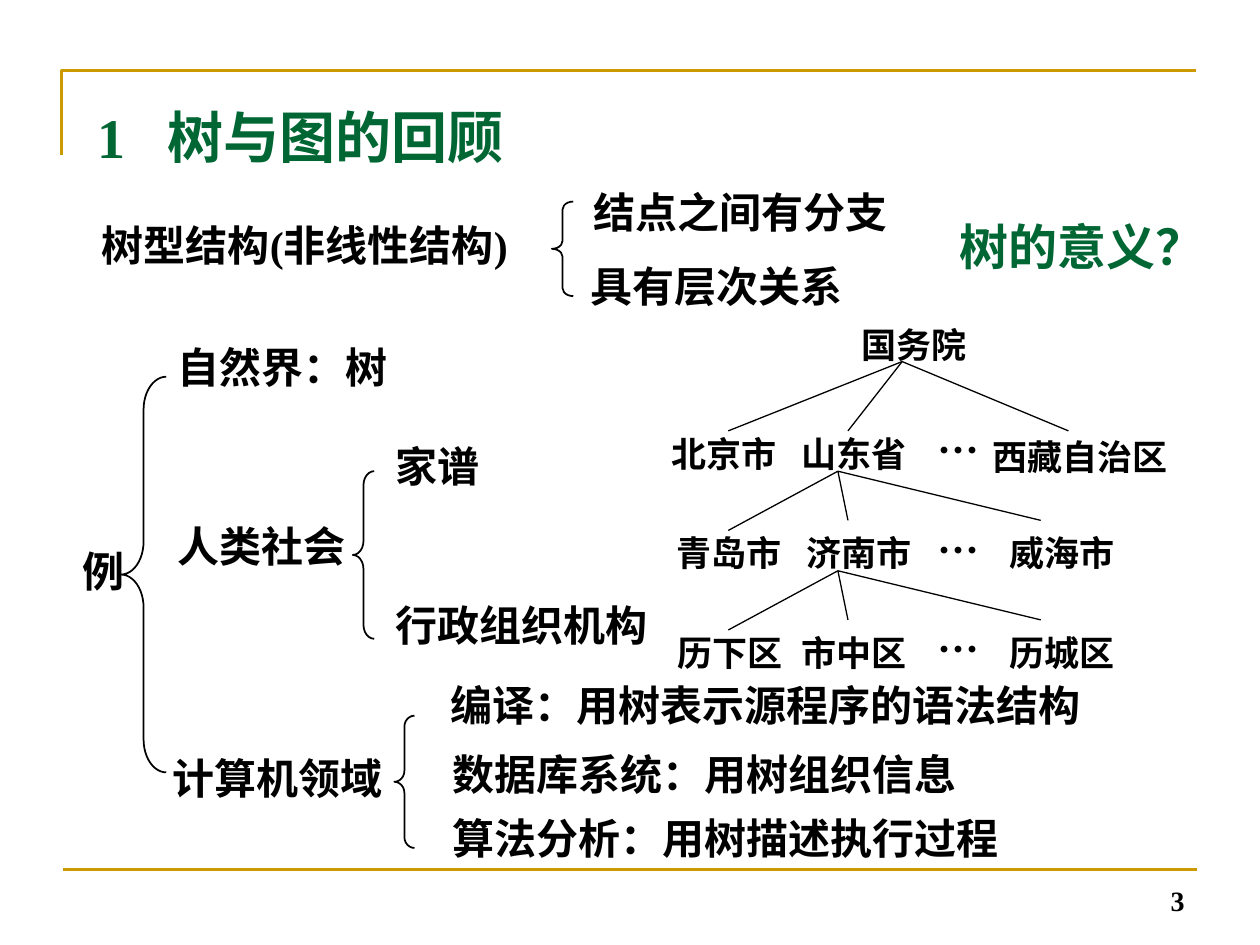
from dataclasses import dataclass

from lxml.etree import SubElement
from pptx import Presentation
from pptx.dml.color import RGBColor
from pptx.enum.shapes import MSO_CONNECTOR, MSO_SHAPE
from pptx.enum.text import MSO_ANCHOR as Anchor, MSO_AUTO_SIZE, PP_ALIGN as Align
from pptx.oxml.ns import qn
from pptx.util import Inches, Pt

COLORS = {"gold": "CC9900", "green": "006633", "black": "000000"}
CJK, LATIN = "Noto Sans CJK SC", "Times New Roman"
COLS, ROWS = 100, 75

prs = Presentation()
prs.slide_width, prs.slide_height = Inches(10), Inches(7.5)
s = prs.slides.add_slide(prs.slide_layouts[5])


@dataclass
class Label:
    """A line of text; position and size in grid columns and rows."""
    text: str
    x: float
    y: float
    w: float
    h: float = 5
    size: int = 24
    font: str = CJK
    color: str = "black"
    anchor: Anchor = Anchor.TOP
    align: Align = Align.LEFT
    inset: float = 0.05


@dataclass
class Brace:
    x: float
    y: float
    w: float
    h: float


@dataclass
class Branch:
    """Lines from one parent node to its children."""
    parent: tuple[float, float]
    children: list[tuple[float, float]]


def col(n: float) -> int:
    return round(prs.slide_width * n / COLS)


def row(n: float) -> int:
    return round(prs.slide_height * n / ROWS)


def rgb(name: str) -> RGBColor:
    return RGBColor.from_string(COLORS[name])


def place(sp, x: float, y: float, w: float, h: float) -> None:
    sp.left, sp.top, sp.width, sp.height = col(x), row(y), col(w), row(h)


def set_line(sp, color: str, width: float) -> None:
    sp.line.color.rgb = rgb(color)
    sp.line.width = Pt(width)


def write(sp, label: Label, tab: float = 0) -> None:
    place(sp, label.x, label.y, label.w, label.h)
    tf = sp.text_frame
    tf.word_wrap, tf.auto_size = True, MSO_AUTO_SIZE.NONE
    tf.vertical_anchor = label.anchor
    tf.margin_left = tf.margin_right = Inches(0.1)
    tf.margin_top, tf.margin_bottom = Inches(label.inset), Inches(0.05)
    p = tf.paragraphs[0]
    p.text, p.alignment = label.text, label.align
    if tab:
        stops = SubElement(p._p.get_or_add_pPr(), qn("a:tabLst"))
        SubElement(stops, qn("a:tab"), pos=str(col(tab)), algn="l")
    f = p.font
    f.size, f.bold, f.name = Pt(label.size), True, label.font
    f.color.rgb = rgb(label.color)
    SubElement(p._p.pPr.find(qn("a:defRPr")), qn("a:ea"), typeface=CJK)


def add_label(label: Label) -> None:
    write(s.shapes.add_textbox(0, 0, 0, 0), label)


def add_line(start: tuple[float, float], end: tuple[float, float],
             color: str = "black", width: float = 0.75) -> None:
    line = s.shapes.add_connector(MSO_CONNECTOR.STRAIGHT, col(start[0]), row(start[1]),
                                  col(end[0]), row(end[1]))
    set_line(line, color, width)
    SubElement(line._element.spPr, qn("a:effectLst"))


def add_brace(b: Brace) -> None:
    sp = s.shapes.add_shape(MSO_SHAPE.LEFT_BRACE, col(b.x), row(b.y), col(b.w), row(b.h))
    sp.adjustments[0] = b.h / 12 / b.w
    sp.shadow.inherit = False
    sp.fill.background()
    set_line(sp, "black", 1)


# Gold frame
fb = s.shapes.build_freeform(col(4.9), row(12.3))
fb.add_line_segments([(col(4.9), row(5.6)), (col(94.9), row(5.6))], close=False)
corner = fb.convert_to_shape()
corner.shadow.inherit = False
corner.fill.background()
set_line(corner, "gold", 1.5)
add_line((5, 69), (95, 69), "gold", 1.5)

# Title, question and slide number
write(s.shapes.title, Label("1\t树与图的回顾", 6.7, 7.6, 90, 12.5, 32, LATIN, "green"), tab=5.6)
add_label(Label("树的意义？", 75.2, 16.2, 22.9, 6.7, 28, LATIN, "green", Anchor.MIDDLE))
add_label(Label("3", 71.7, 68.3, 23.3, 5, 16, LATIN, anchor=Anchor.BOTTOM, align=Align.RIGHT))

# Outline with its braces
for label in (
    Label("树型结构(非线性结构)", 7.1, 16.9, 37.4, font=LATIN),
    Label("结点之间有分支", 46.1, 14.3, 26.1),
    Label("具有层次关系", 45.9, 20.2, 22.7),
    Label("例", 5.6, 42.8, 6.8),
    Label("自然界：树", 13.1, 26.6, 20.2),
    Label("人类社会", 13.1, 40.8, 16.8),
    Label("家谱", 30.4, 34.5, 9.4),
    Label("行政组织机构", 30.4, 47.1, 22.7),
    Label("计算机领域", 12.7, 59.2, 19.4),
    Label("编译：用树表示源程序的语法结构", 34.8, 53.4, 53.5),
    Label("数据库系统：用树组织信息", 34.9, 58.9, 43.5),
    Label("算法分析：用树描述执行过程", 34.9, 64, 46.8),
):
    add_label(label)

for brace in (Brace(43.8, 16, 1.7, 7.5), Brace(9.6, 29.9, 3.6, 31.4),
              Brace(28, 37.4, 1.7, 13.3), Brace(31.3, 56.8, 1.6, 10.5)):
    add_brace(brace)

# Administrative tree: nodes
for text, x, y, w in (
    ("国务院", 67.4, 24.6, 11.7),
    ("北京市", 52.3, 33.2, 11.7), ("山东省", 62.6, 33.2, 11.7), ("西藏自治区", 77.8, 33.5, 17.9),
    ("青岛市", 52.7, 41.1, 11.7), ("济南市", 63, 41.1, 11.8), ("威海市", 79.1, 41.1, 11.8),
    ("历下区", 52.8, 49, 11.8), ("市中区", 62.6, 49, 11.8), ("历城区", 79.1, 49, 11.8),
):
    add_label(Label(text, x, y, w, size=20, inset=0.11))
for y in (33.2, 41.1, 49):
    add_label(Label("…", 73.4, y, 7.4))

# Administrative tree: branches
branches = [Branch((71.6, 28.7), [(57.8, 34.2), (67.3, 34.2), (84.8, 34.2)])]
branches += [Branch((66.5, y), [(57.8, y + 4.7), (67.3, y + 3.9), (82.6, y + 3.9)])
             for y in (37.4, 45.3)]
for branch in branches:
    for child in branch.children:
        add_line(branch.parent, child)

prs.save("out.pptx")
